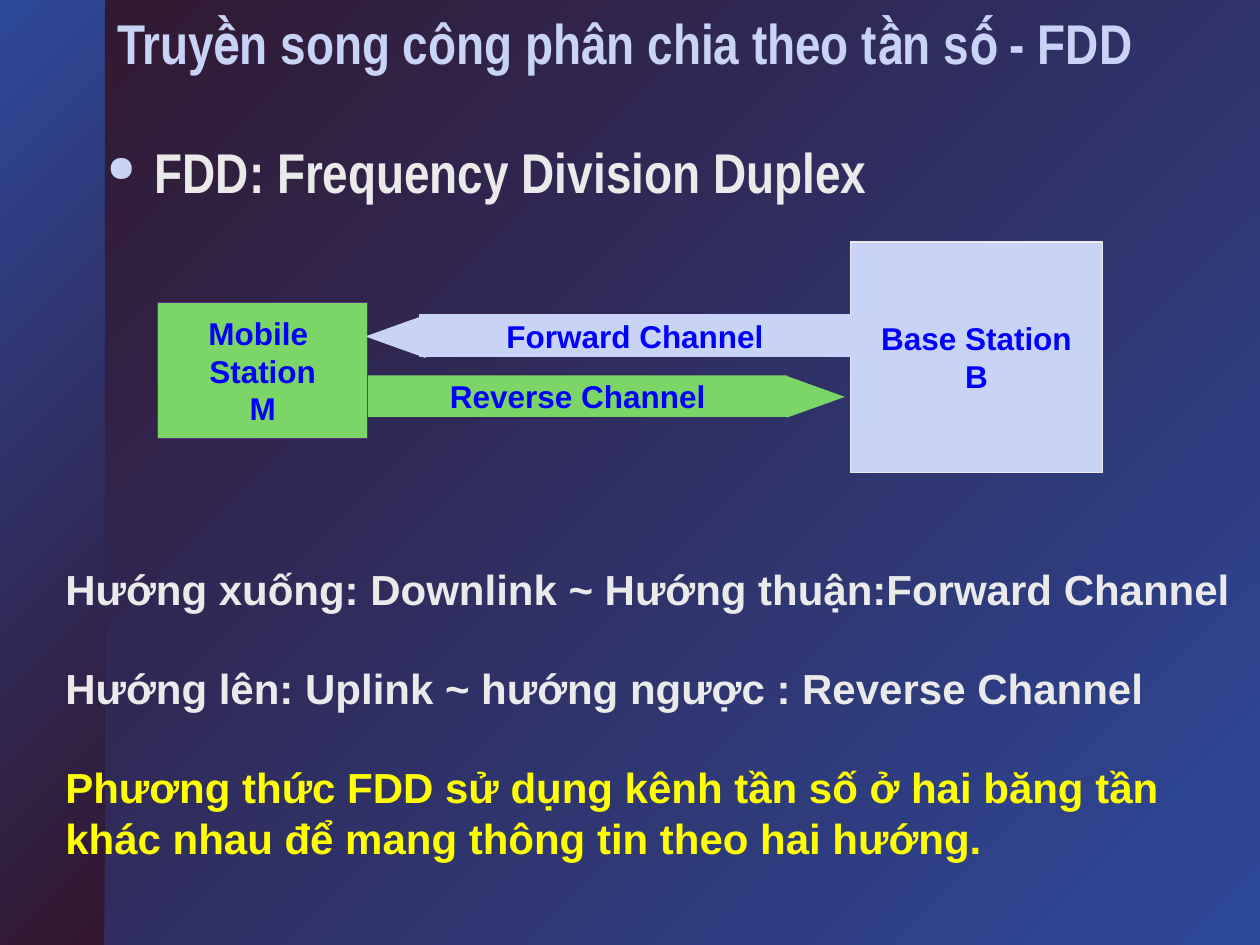
from dataclasses import dataclass

from lxml.etree import SubElement
from pptx import Presentation
from pptx.dml.color import RGBColor
from pptx.enum.shapes import MSO_SHAPE
from pptx.enum.text import MSO_ANCHOR, PP_ALIGN
from pptx.oxml import parse_xml
from pptx.oxml.ns import nsdecls, qn
from pptx.util import Inches, Pt


@dataclass(frozen=True)
class Theme:
    blue: str = "2D4999"
    plum: str = "32162D"
    lavender: str = "C8D3F6"
    green: str = "7CD567"
    purple: str = "602D83"
    pale: str = "EAEAEA"
    yellow: str = "FFFF00"
    label: str = "0000FF"
    heading_font: str = "Arial Narrow"
    body_font: str = "Arial"
    heading_size: int = 32
    body_size: int = 24
    label_size: int = 18


THEME = Theme()


def rgb(value):
    return RGBColor.from_string(value)


def set_gradient(fill, start, end):
    """Run a gradient from the lower right to the upper left."""
    fill.gradient()
    fill.gradient_angle = 135
    for stop, color in zip(fill.gradient_stops, (start, end)):
        stop.color.rgb = rgb(color)


def style_paragraph(paragraph, font_name, size, color):
    font = paragraph.font
    font.name, font.size, font.bold = font_name, Pt(size), True
    font.color.rgb = rgb(color)


def add_text_shadow(paragraph, color):
    """Give the runs a fill and a small drop shadow, in schema order."""
    for run in paragraph.runs:
        run.font.color.rgb = rgb(color)
        properties = run.font._element
        properties.find(qn("a:solidFill")).addnext(parse_xml(
            f'<a:effectLst {nsdecls("a")}>'
            '<a:outerShdw dist="25400" dir="2700000"><a:srgbClr val="000000"/>'
            '</a:outerShdw></a:effectLst>'))


def add_bullet(paragraph, indent):
    properties = paragraph._p.get_or_add_pPr()
    properties.set("marL", str(indent))
    properties.set("indent", str(-indent))
    color = SubElement(properties, qn("a:buClr"))
    SubElement(color, qn("a:srgbClr"), val=THEME.lavender)
    SubElement(properties, qn("a:buSzPct"), val="65000")
    SubElement(properties, qn("a:buChar"), char="●")


def add_text_box(slide, left, top, width, height):
    box = slide.shapes.add_textbox(Inches(left), Inches(top), Inches(width), Inches(height))
    box.text_frame.word_wrap = True
    return box.text_frame


def add_block(slide, kind, left, top, width, height, fill, line=None, lines=(), rotation=0):
    """Add a filled shape with centred label lines."""
    shape = slide.shapes.add_shape(kind, Inches(left), Inches(top), Inches(width), Inches(height))
    shape.shadow.inherit = False
    shape.rotation = rotation
    shape.fill.solid()
    shape.fill.fore_color.rgb = rgb(fill)
    if line:
        shape.line.color.rgb = rgb(line)
        shape.line.width = Pt(0.75)
    else:
        shape.line.fill.background()
    if lines:
        frame = shape.text_frame
        frame.word_wrap = False
        frame.vertical_anchor = MSO_ANCHOR.MIDDLE
        frame.text = "\n".join(lines)
        for paragraph in frame.paragraphs:
            paragraph.alignment = PP_ALIGN.CENTER
            style_paragraph(paragraph, THEME.body_font, THEME.label_size, THEME.label)


def add_side_strip(slide):
    strip = slide.shapes.add_shape(MSO_SHAPE.RECTANGLE, 0, 0, Inches(0.83), Inches(7.5))
    strip.shadow.inherit = False
    strip.line.fill.background()
    set_gradient(strip.fill, THEME.plum, THEME.blue)


def set_title(slide, text):
    title = slide.shapes.title
    title.left, title.top = Inches(0.83), Inches(0.08)
    title.width, title.height = Inches(9.17), Inches(0.66)
    frame = title.text_frame
    frame.text = text
    frame.vertical_anchor = MSO_ANCHOR.TOP
    paragraph = frame.paragraphs[0]
    paragraph.alignment = PP_ALIGN.LEFT
    paragraph.line_spacing = 0.9
    style_paragraph(paragraph, THEME.heading_font, THEME.heading_size, THEME.lavender)
    add_text_shadow(paragraph, THEME.lavender)


def add_subject(slide, text):
    paragraph = add_text_box(slide, 0.75, 1.12, 9.25, 0.55).paragraphs[0]
    paragraph.text = text
    add_bullet(paragraph, Inches(0.38))
    paragraph.line_spacing = 0.85
    style_paragraph(paragraph, THEME.heading_font, THEME.heading_size, THEME.pale)
    add_text_shadow(paragraph, THEME.pale)


def add_channel_diagram(slide):
    box, head = MSO_SHAPE.RECTANGLE, MSO_SHAPE.ISOSCELES_TRIANGLE
    lavender, green = THEME.lavender, THEME.green
    add_block(slide, box, 6.75, 1.92, 2, 1.83, lavender, THEME.pale, ["Base Station", "B"])
    add_block(slide, box, 1.25, 2.4, 1.67, 1.08, green, THEME.purple, ["Mobile \vStation", "M"])
    add_block(slide, box, 3.33, 2.5, 3.42, 0.33, lavender, lavender, ["Forward Channel"])
    add_block(slide, box, 2.92, 2.98, 3.33, 0.33, green, lines=["Reverse Channel"])
    add_block(slide, head, 6.31, 2.92, 0.33, 0.46, green, rotation=90)
    add_block(slide, head, 2.98, 2.44, 0.33, 0.46, lavender, lavender, rotation=270)


def add_explanation(slide, statements):
    frame = add_text_box(slide, 0.42, 4.42, 9.58, 2.5)
    frame.text = "\n".join(text for text, _ in statements)
    for index, (paragraph, (_, color)) in enumerate(zip(frame.paragraphs, statements)):
        if index:
            paragraph.space_before = Pt(28)
        style_paragraph(paragraph, THEME.body_font, THEME.body_size, color)


def main():
    presentation = Presentation()
    presentation.slide_width, presentation.slide_height = Inches(10), Inches(7.5)
    slide = presentation.slides.add_slide(presentation.slide_layouts[5])
    set_gradient(slide.background.fill, THEME.blue, THEME.plum)
    add_side_strip(slide)
    set_title(slide, "Truyền song công phân chia theo tần số - FDD")
    add_subject(slide, "FDD: Frequency Division Duplex")
    add_channel_diagram(slide)
    add_explanation(slide, [
        ("Hướng xuống: Downlink ~ Hướng thuận:Forward Channel", THEME.pale),
        ("Hướng lên: Uplink ~ hướng ngược : Reverse Channel", THEME.pale),
        ("Phương thức FDD sử dụng kênh tần số ở hai băng tần khác nhau "
         "để mang thông tin theo hai hướng.", THEME.yellow),
    ])
    presentation.save("out.pptx")


if __name__ == "__main__":
    main()
